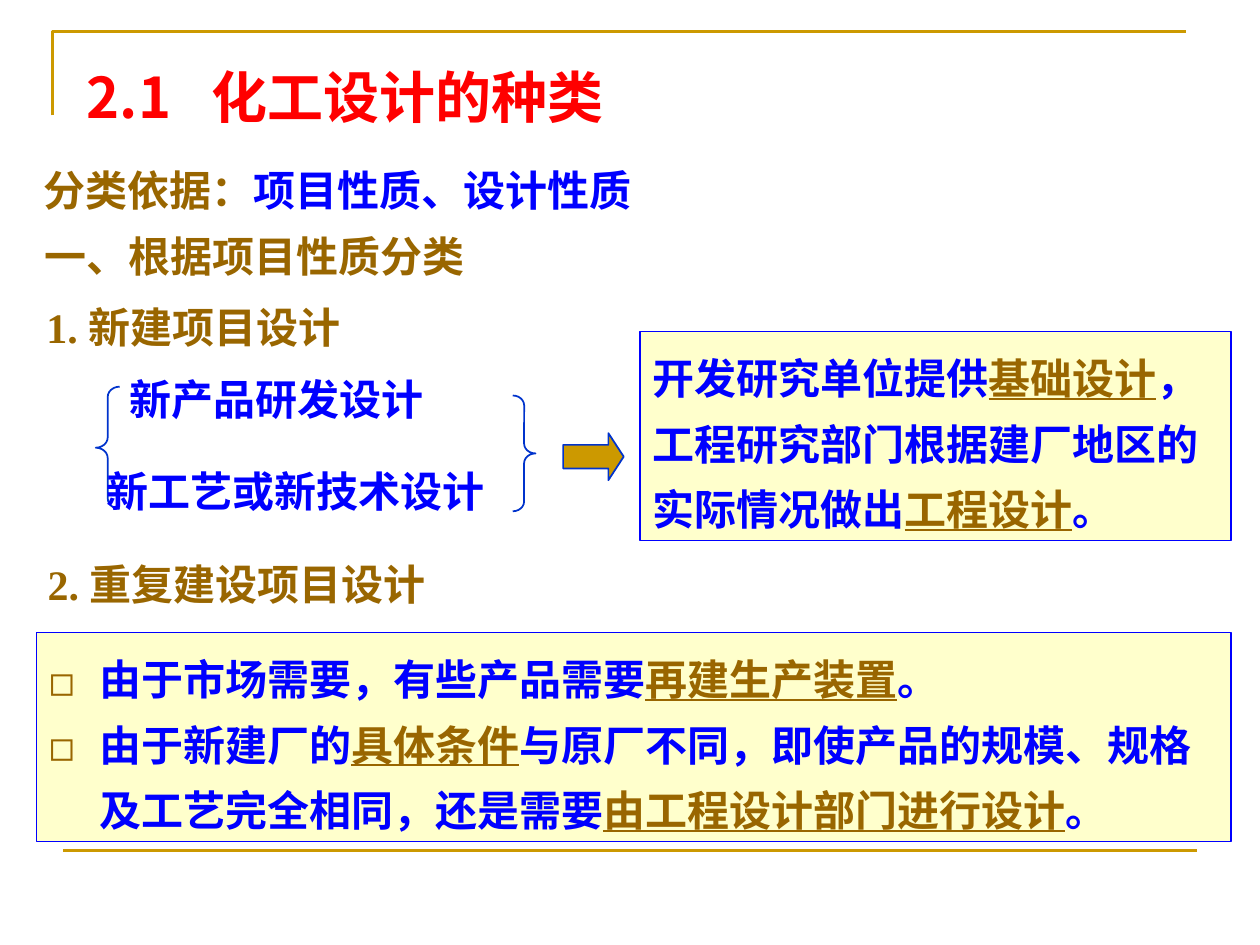
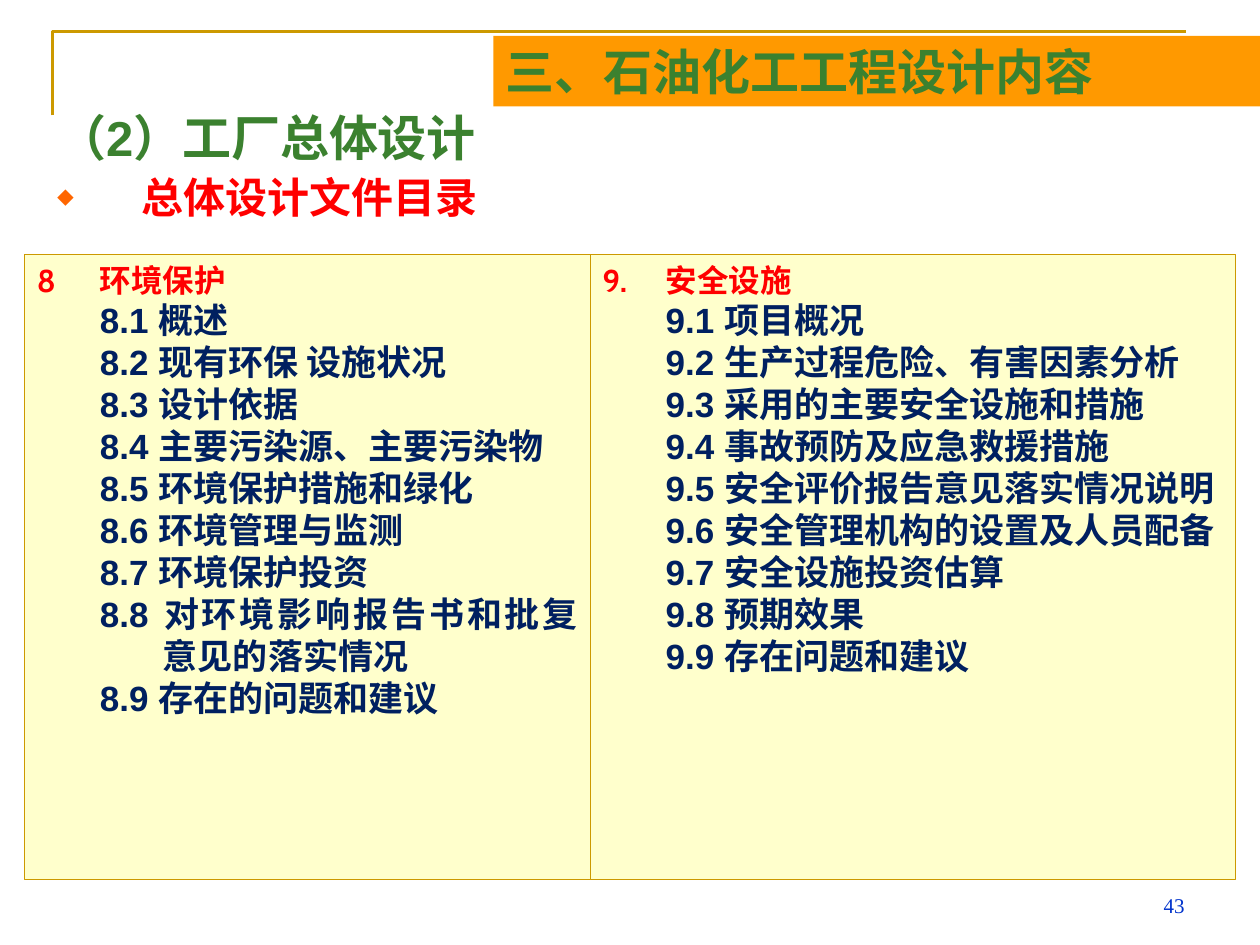
from dataclasses import dataclass

from lxml import etree
from pptx import Presentation
from pptx import util as u
from pptx.dml import color as col
from pptx.enum import shapes, text
from pptx.oxml import ns

Pt = u.Pt
KIND = shapes.MSO_SHAPE
ALIGN = text.PP_ALIGN
MID = text.MSO_ANCHOR.MIDDLE
LOW = text.MSO_ANCHOR.BOTTOM


@dataclass(frozen=True)
class Theme:
    gold: str = "CC9900"
    brown: str = "996600"
    blue: str = "0000FF"
    royal: str = "0033CC"
    navy: str = "002060"
    red: str = "FF0000"
    green: str = "3B812F"
    cream: str = "FFFFCC"
    orange: str = "FF9900"
    flame: str = "FF6600"
    title: int = 32
    head: int = 28
    body: int = 24
    item: int = 20
    label: int = 18
    small: int = 12
    sans: str = "Arial"
    serif: str = "Times New Roman"
    cabin: str = "Cabin"
    noto: str = "Noto Sans CJK SC"


T = Theme()


def rgb(code):
    return col.RGBColor.from_string(code)


def node(parent, tag, **attrs):
    item = etree.SubElement(parent, ns.qn(tag))
    for key, val in attrs.items():
        item.set(key, str(val))
    return item


def mark(para, color, char=None, start=None, style=None, size=100):
    """Give the paragraph a bullet sign, or a number that begins at start."""
    props = para._p.get_or_add_pPr()
    node(node(props, "a:buClr"), "a:srgbClr", val=color)
    node(props, "a:buSzPct", val=size * 1000)
    node(props, "a:buFont", typeface=T.noto)
    if char:
        node(props, "a:buChar", char=char)
    else:
        node(props, "a:buAutoNum", type=style, startAt=start)


def indent(para, left, first):
    props = para._p.get_or_add_pPr()
    props.set("marL", str(Pt(left)))
    props.set("indent", str(Pt(first)))


def tab(para, pos):
    tabs = node(para._p.get_or_add_pPr(), "a:tabLst")
    node(tabs, "a:tab", pos=Pt(pos), algn="l")


class Deck:
    def __init__(self):
        self.prs = Presentation()
        self.prs.slide_width, self.prs.slide_height = Pt(720), Pt(540)
        self.page = None

    def slide(self):
        """Start a slide with the gold corner and the foot rule."""
        self.page = self.prs.slides.add_slide(self.prs.slide_layouts[6]).shapes
        pen = self.page.build_freeform(Pt(30), Pt(66))
        pen.add_line_segments([(Pt(30), Pt(18)), (Pt(678), Pt(18))], close=False)
        edge = pen.convert_to_shape()
        edge.fill.background()
        edge.shadow.inherit = False
        rule = self.page.add_connector(
            shapes.MSO_CONNECTOR.STRAIGHT, Pt(36), Pt(486), Pt(684), Pt(486))
        node(rule._element.spPr, "a:effectLst")
        for part in (edge, rule):
            part.line.color.rgb = rgb(T.gold)
            part.line.width = Pt(1.5)

    def shape(self, kind, at, fill=None, line=None, width=1.0, adj=()):
        form = self.page.add_shape(kind, *map(Pt, at))
        form.shadow.inherit = False
        for i, val in enumerate(adj):
            form.adjustments[i] = val
        if fill:
            form.fill.solid()
            form.fill.fore_color.rgb = rgb(fill)
        else:
            form.fill.background()
        if line:
            form.line.color.rgb = rgb(line)
            form.line.width = Pt(width)
        else:
            form.line.fill.background()
        return self.frame(form)

    def box(self, at, anchor=text.MSO_ANCHOR.TOP):
        return self.frame(self.page.add_textbox(*map(Pt, at)), anchor)

    def frame(self, form, anchor=text.MSO_ANCHOR.TOP):
        frame = form.text_frame
        frame.word_wrap = True
        frame.vertical_anchor = anchor
        return frame

    def para(self, frame, align=ALIGN.LEFT):
        """Return the first paragraph while it is empty, else a new one."""
        para = frame.paragraphs[0]
        if para.runs:
            para = frame.add_paragraph()
        para.alignment = align
        return para

    def run(self, para, words, size, font, color, bold=True, under=False):
        run = para.add_run()
        run.text = words
        face = run.font
        face.size, face.bold, face.name = Pt(size), bold, font
        face.color.rgb = rgb(color)
        if under:
            face.underline = True
        node(run._r.get_or_add_rPr(), "a:ea", typeface=T.cabin)

    def line(self, at, words, size=T.body, font=T.cabin, color=T.brown):
        para = self.para(self.box(at))
        self.run(para, words, size, font, color)
        return para

    def keys(self, para, words, font):
        """Write blue text; parts between bars are brown and underlined."""
        for i, part in enumerate(words.split("|")):
            key = i % 2 == 1
            self.run(para, part, T.body, font,
                     T.brown if key else T.blue, under=key)
        para.line_spacing = 1.3

    def list(self, at, style, start, head, items):
        """Fill a cream panel with a numbered head and its hanging items."""
        frame = self.shape(KIND.RECTANGLE, at, T.cream, T.gold, 0.75)
        para = self.para(frame, ALIGN.JUSTIFY)
        indent(para, 36, -36)
        mark(para, T.red, start=start, style=style)
        self.run(para, head, T.label, T.sans, T.red)
        for i, words in enumerate(items, 1):
            para = self.para(frame, ALIGN.JUSTIFY)
            indent(para, 72, -36)
            self.run(para, f"{start}.{i} {words}", T.item, T.sans, T.navy)


def kinds(deck):
    deck.slide()
    title = deck.line((42.5, 32, 370, 46), "2.1\t化工设计的种类",
                      T.title, T.noto, T.red)
    tab(title, 71.5)
    basis = deck.line((17.6, 90.7, 702, 36), "分类依据：")
    deck.run(basis, "项目性质、设计性质", T.body, T.cabin, T.blue)
    deck.line((18.3, 128.2, 350, 36), "一、根据项目性质分类")
    deck.line((19.4, 168.5, 291, 36), "1. 新建项目设计", font=T.serif)

    frame = deck.shape(KIND.RECTANGLE, (365.8, 189.4, 337.7, 119.5),
                       T.cream, T.blue)
    frame.vertical_anchor = MID
    deck.keys(deck.para(frame), "开发研究单位提供|基础设计|，工程研究部门根据"
              "建厂地区的实际情况做出|工程设计|。", T.noto)

    for kind, at in ((KIND.LEFT_BRACE, (54.7, 221, 13.7, 69.8)),
                     (KIND.RIGHT_BRACE, (293, 226, 13, 66.2))):
        deck.shape(kind, at, line=T.royal, adj=(0.43, 0.5))
    deck.line((67, 210, 192, 36), "新产品研发设计", color=T.blue)
    deck.line((54, 262.4, 238, 36), "新工艺或新技术设计", color=T.blue)
    deck.shape(KIND.RIGHT_ARROW, (321.8, 247.5, 34.6, 26.9),
               T.gold, T.royal, adj=(0.5, 0.325))

    deck.line((20.2, 315.4, 266, 36), "2. 重复建设项目设计", font=T.serif)
    frame = deck.shape(KIND.RECTANGLE, (20.9, 361.4, 682.6, 119.5),
                       T.cream, T.blue)
    for words in ("由于市场需要，有些产品需要|再建生产装置|。",
                  "由于新建厂的|具体条件|与原厂不同，即使产品的规模、规格及工艺"
                  "完全相同，还是需要|由工程设计部门进行设计|。"):
        para = deck.para(frame)
        indent(para, 28.8, -28.8)
        mark(para, T.brown, "◻")
        deck.keys(para, words, T.cabin)


def plan(deck):
    deck.slide()
    page = deck.para(deck.box((516.2, 491.8, 167.8, 36), LOW), ALIGN.RIGHT)
    deck.run(page, "43", T.small, T.serif, T.royal, bold=False)

    frame = deck.box((25.6, 54.7, 663, 79.2))
    para = deck.para(frame)
    deck.run(para, "（2）工厂总体设计", T.head, T.sans, T.green)
    para.line_spacing = 1.1
    para = deck.para(frame)
    indent(para, 48.2, -48.2)
    mark(para, T.flame, "◆", size=40)
    deck.run(para, "总体设计文件目录", T.body, T.sans, T.red)
    para.line_spacing = 1.1

    deck.list((14, 145.4, 323.3, 357.1), "arabicPlain", 8, "环境保护", (
        "概述", "现有环保 设施状况", "设计依据", "主要污染源、主要污染物",
        "环境保护措施和绿化", "环境管理与监测", "环境保护投资",
        "对环境影响报告书和批复意见的落实情况", "存在的问题和建议"))
    band = deck.shape(KIND.RECTANGLE, (282, 20.5, 438, 40.3), T.orange)
    band.vertical_anchor = MID
    deck.run(deck.para(band), "三、石油化工工程设计内容",
             T.head, T.serif, T.green)
    deck.list((337.3, 145.4, 368.6, 357.1), "arabicPeriod", 9, "安全设施", (
        "项目概况", "生产过程危险、有害因素分析", "采用的主要安全设施和措施",
        "事故预防及应急救援措施", "安全评价报告意见落实情况说明",
        "安全管理机构的设置及人员配备", "安全设施投资估算", "预期效果",
        "存在问题和建议"))


def main():
    deck = Deck()
    kinds(deck)
    plan(deck)
    deck.prs.save("out.pptx")


if __name__ == "__main__":
    main()
